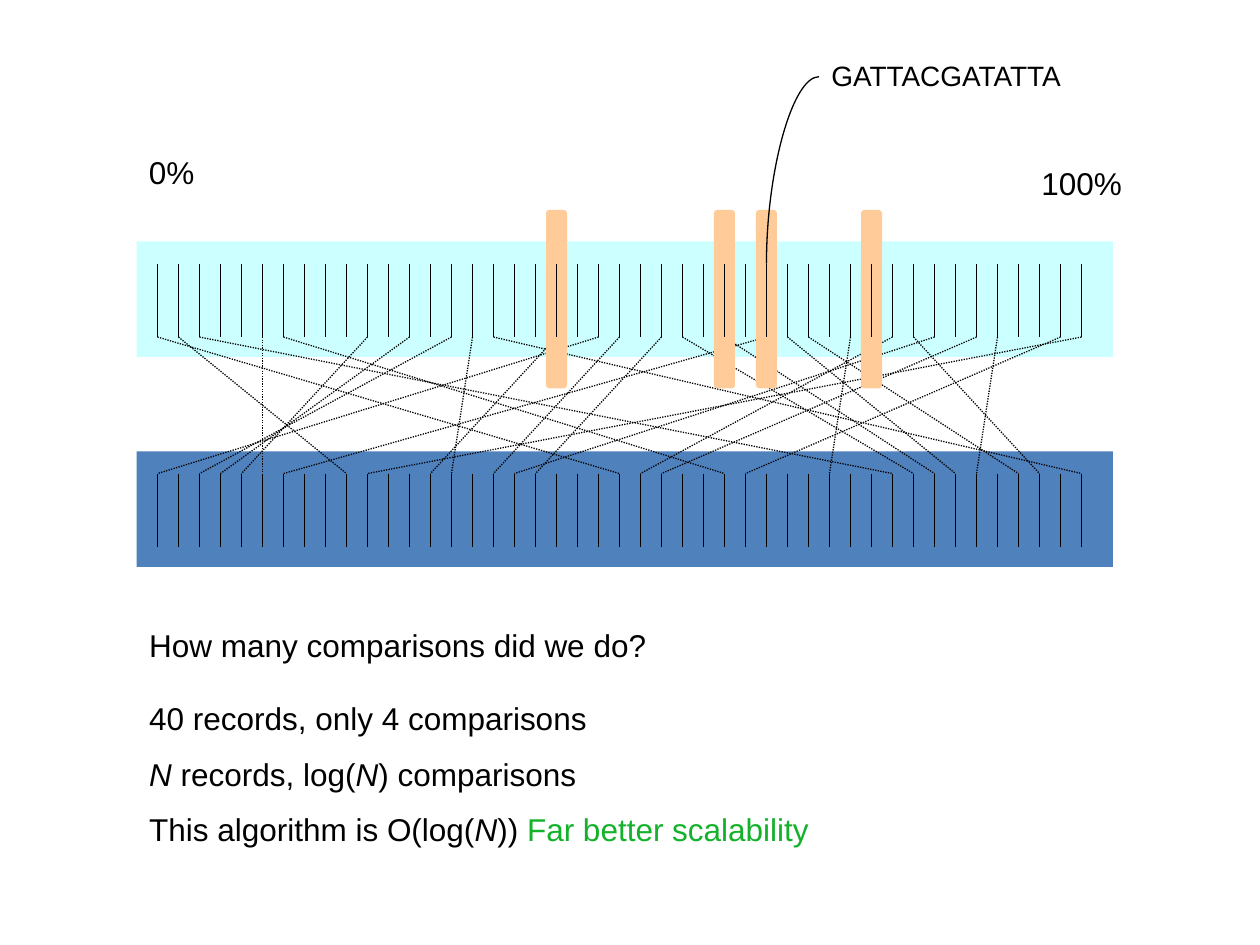
from lxml import etree
from pptx import Presentation
from pptx.dml.color import RGBColor
from pptx.enum.dml import MSO_LINE
from pptx.enum.shapes import MSO_CONNECTOR, MSO_SHAPE
from pptx.enum.text import MSO_ANCHOR, MSO_AUTO_SIZE, PP_ALIGN
from pptx.oxml.ns import qn
from pptx.util import Pt

PX = 7620  # EMU per px, 120 px to the inch
RECT, ROUND = MSO_SHAPE.RECTANGLE, MSO_SHAPE.ROUNDED_RECTANGLE
LINE, CURVE = MSO_CONNECTOR.STRAIGHT, MSO_CONNECTOR.CURVE
DOT = MSO_LINE.ROUND_DOT
TOP, LEFT = MSO_ANCHOR.TOP, PP_ALIGN.LEFT
GROW = MSO_AUTO_SIZE.SHAPE_TO_FIT_TEXT
COLORS = {
    "ink": "000000",
    "index": "CCFFFF",
    "table": "4F81BD",
    "probe": "FFCC99",
    "praise": "14B12B",
}

deck = Presentation()
deck.slide_width, deck.slide_height = 1200 * PX, 900 * PX
slide = deck.slides.add_slide(deck.slide_layouts[1])
shapes = slide.shapes


def draw_line(x1, y1, x2, y2, kind=LINE):
    line = shapes.add_connector(kind, x1 * PX, y1 * PX, x2 * PX, y2 * PX)
    line.line.color.rgb = RGBColor.from_string(COLORS["ink"])
    line.line.width = Pt(0.75)
    etree.SubElement(line._element.spPr, qn("a:effectLst"))
    return line


def fill_text(box, place, rows, size=18, wrap=True):
    """Place a box and write rows of (text, italic, color) runs."""
    box.left, box.top, box.width, box.height = [n * PX for n in place]
    frame = box.text_frame
    frame.word_wrap = wrap
    frame.auto_size = GROW
    frame.vertical_anchor = TOP
    for i, row in enumerate(rows):
        para = frame.add_paragraph() if i else frame.paragraphs[0]
        props = para._p.get_or_add_pPr()
        props.set("marL", "0")
        props.set("indent", "0")
        etree.SubElement(props, qn("a:buNone"))
        if any(text == "\t" for text, _, _ in row):
            tabs = etree.SubElement(props, qn("a:tabLst"))
            etree.SubElement(tabs, qn("a:tab"), pos=str(393 * PX), algn="l")
        para.alignment = LEFT
        para.space_before = Pt(10 if i else 0)
        for text, slant, color in row:
            run = para.add_run()
            run.text = text
            run.font.name = "Arial"
            run.font.size = Pt(size)
            run.font.italic = slant
            run.font.color.rgb = RGBColor.from_string(COLORS[color])


# Bands, with the probed records marked on the index
blocks = [(RECT, 130, 230, 930, 110, "index"), (RECT, 130, 430, 930, 110, "table")]
probes = [(ROUND, x, 200, 20, 170, "probe") for x in (520, 680, 720, 820)]

# Index slot and table slot of each link
links = [
    (0, 22), (1, 9), (2, 35), (19, 13), (12, 3), (31, 41), (27, 37),
    (43, 28), (36, 42), (39, 24), (44, 10), (29, 6), (30, 38), (35, 23),
    (24, 18), (21, 0), (14, 2), (6, 27), (16, 44), (25, 36), (22, 16),
    (37, 17), (10, 4), (5, 5), (33, 32), (15, 14), (40, 39),
]
slots = [150 + 20 * i for i in range(45)]

for group in (blocks, probes):
    for kind, x, y, w, h, color in group:
        block = shapes.add_shape(kind, x * PX, y * PX, w * PX, h * PX)
        block.shadow.inherit = False
        block.fill.solid()
        block.fill.fore_color.rgb = RGBColor.from_string(COLORS[color])
        block.line.fill.background()
    if group is blocks:
        for x in slots:
            draw_line(x, 451, x, 521)
        for start, end in links:
            link = draw_line(slots[start], 321, slots[end], 451)
            link.line.dash_style = DOT

for x in slots:
    draw_line(x, 251, x, 321)

# Quarter curve from the found record up to its sequence
curve = draw_line(666, 137, 844, 187, CURVE)
props = curve._element.spPr
props.find(qn("a:xfrm")).set("rot", str(270 * 60000))
props.find(qn("a:prstGeom")).set("prst", "curvedConnector2")

labels = [
    ("GATTACGATATTA", (780, 50, 257, 44), 16, False),
    ("0%", (130, 140, 90, 60), 18, True),
    ("100%", (980, 150, 120, 60), 18, True),
]
for text, place, size, wrap in labels:
    box = shapes.add_textbox(0, 0, PX, PX)
    fill_text(box, place, [[(text, False, "ink")]], size, wrap)

ask = [[("How many comparisons did we do?", False, "ink")]]
fill_text(shapes.title, (130, 590, 690, 60), ask)

facts = [
    [("40 records, only 4 comparisons", False, "ink")],
    [
        ("N", True, "ink"),
        (" records, log(", False, "ink"),
        ("N", True, "ink"),
        (") comparisons", False, "ink"),
    ],
    [
        ("This algorithm is O(log(", False, "ink"),
        ("N", True, "ink"),
        ("))", False, "ink"),
        ("\t", False, "ink"),
        ("Far better scalability", False, "praise"),
    ],
]
fill_text(slide.placeholders[1], (130, 660, 990, 204), facts)

deck.save("out.pptx")
